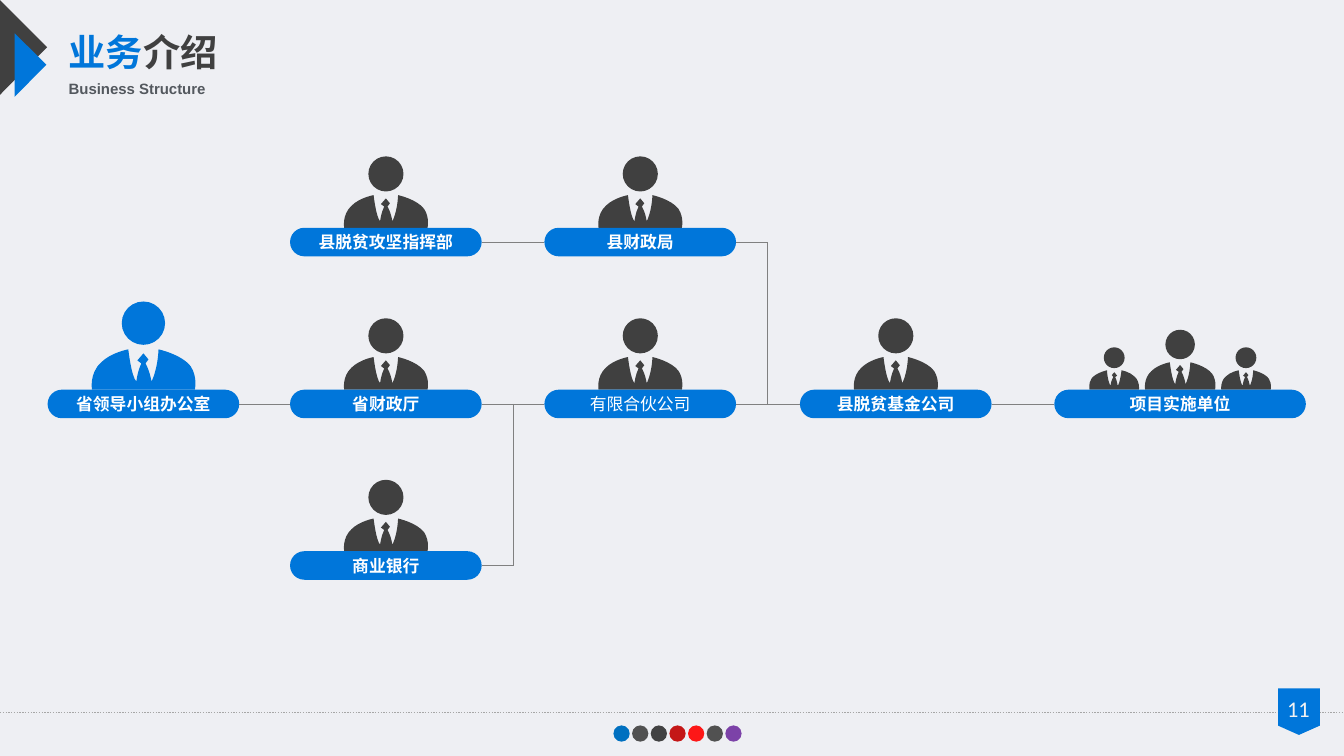
from lxml import etree
from pptx import Presentation
from pptx import util as u
from pptx.dml.color import RGBColor
from pptx.enum import dml, shapes, text
from pptx.oxml import ns

BLUE = RGBColor(0x00, 0x76, 0xDA)
DARK = RGBColor(0x40, 0x40, 0x40)
SLATE = RGBColor(0x53, 0x58, 0x5E)
PAPER = RGBColor(0xEE, 0xEF, 0xF3)
WHITE = RGBColor(0xFF, 0xFF, 0xFF)
PALE = RGBColor(0xF2, 0xF2, 0xF2)
GREY = RGBColor(0x80, 0x80, 0x80)
RULE = RGBColor(0xA6, 0xA6, 0xA6)
SEA = RGBColor(0x00, 0x70, 0xC0)
COAL = RGBColor(0x30, 0x30, 0x30)
WINE = RGBColor(0xC0, 0x00, 0x00)
RED = RGBColor(0xFF, 0x00, 0x00)
PLUM = RGBColor(0x70, 0x30, 0xA0)

KIND = shapes.MSO_SHAPE
HAN = "Noto Sans CJK SC"
PILL_W, PILL_H = 4.83, 0.72
UNIT = 0.0254  # cm per figure unit
HEAD, TALL = 43, 87.5

# Jacket outline around its bottom centre, each row one Bezier curve
START = (47, -23)
JACKET = [
    [(38, -35), (15, -40), (15, -40)],
    [(14, -19), (8, -8), (8, -8)],
    [(6, -20), (2, -26), (2, -26)],
    [(5, -30)] * 3,
    [(0, -36)] * 3,
    [(-6, -29)] * 3,
    [(-2, -26)] * 3,
    [(-6, -18), (-7, -8), (-7, -8)],
    [(-12, -13), (-15, -40), (-15, -40)],
    [(-15, -40), (-32, -37), (-42, -27)],
    [(-54, -16), (-51, 0), (-51, 0)],
    [(51, 0)] * 3,
    [(51, 0), (54, -12), START],
]
BODY = [START] + sum(JACKET, [])


class Deck:
    def __init__(self):
        self.prs = Presentation()
        self.prs.slide_width, self.prs.slide_height = u.Cm(33.87), u.Cm(19.05)
        self.slide = self.prs.slides.add_slide(self.prs.slide_layouts[6])
        back = self.slide.background.fill
        back.solid()
        back.fore_color.rgb = PAPER
        self.all = self.slide.shapes

    def paint(self, shape, color, alpha=None):
        shape.shadow.inherit = False
        shape.fill.solid()
        shape.fill.fore_color.rgb = color
        shape.line.fill.background()
        if alpha:
            tone = shape.fill._xPr.find(".//" + ns.qn("a:srgbClr"))
            etree.SubElement(tone, ns.qn("a:alpha"), val=str(alpha * 1000))
        return shape

    def shape(self, kind, x, y, w, h, color, home=None, alpha=None):
        made = (home or self.all).add_shape(kind, u.Cm(x), u.Cm(y), u.Cm(w), u.Cm(h))
        return self.paint(made, color, alpha)

    def free(self, points, color, home=None):
        spots = [(u.Cm(x), u.Cm(y)) for x, y in points]
        pen = (home or self.all).build_freeform(*spots[0])
        pen.add_line_segments(spots[1:], close=True)
        return self.paint(pen.convert_to_shape(), color)

    def bend(self, shape):
        """Turn every three line segments of a freeform into one curve."""
        lines = list(shape._element.iter(ns.qn("a:lnTo")))
        lines = lines[:len(BODY) - 1]
        for i in range(0, len(lines), 3):
            curve = etree.Element(ns.qn("a:cubicBezTo"))
            lines[i].addprevious(curve)
            for line in lines[i:i + 3]:
                curve.append(line[0])
                line.getparent().remove(line)

    def style(self, run, size, font, color, bold):
        run.font.size, run.font.name, run.font.bold = u.Pt(size), font, bold
        run.font.color.rgb = color
        east = etree.SubElement(run.font._element, ns.qn("a:ea"))
        east.set("typeface", font)

    def inset(self, frame):
        frame.margin_left = frame.margin_right = 0
        frame.margin_top = frame.margin_bottom = 0

    def label(self, x, y, w, h, runs, size, font, bold=True, wrap=True, bare=True):
        """Add a text box; runs are (words, color) pairs."""
        frame = self.all.add_textbox(u.Cm(x), u.Cm(y), u.Cm(w), u.Cm(h)).text_frame
        frame.word_wrap = wrap
        frame.auto_size = text.MSO_AUTO_SIZE.SHAPE_TO_FIT_TEXT
        if bare:
            self.inset(frame)
        para = frame.paragraphs[0]
        for words, color in runs:
            run = para.add_run()
            run.text = words
            self.style(run, size, font, color, bold)
        return para

    def pill(self, x, y, words, w=PILL_W, bold=True):
        pill = self.shape(KIND.ROUNDED_RECTANGLE, x, y, w, PILL_H, BLUE)
        pill.adjustments[0] = 0.5
        frame = pill.text_frame
        self.inset(frame)
        frame.vertical_anchor = text.MSO_ANCHOR.MIDDLE
        frame.text = words
        para = frame.paragraphs[0]
        para.alignment = text.PP_ALIGN.CENTER
        self.style(para.runs[0], 12, HAN, WHITE, bold)
        return pill

    def crowd(self, base, people, color=DARK):
        """Group figures standing on base; people are (centre, scale, side)."""
        home = self.all.add_group_shape().shapes
        for mid, scale, side in people:
            k = UNIT * scale
            self.shape(KIND.OVAL, mid - HEAD * k / 2, base - TALL * k,
                       HEAD * k, HEAD * k, color, home)
            self.bend(self.free([(mid + side * px * k, base + py * k)
                                 for px, py in BODY], color, home))

    def line(self, x1, y1, x2, y2, color=GREY, width=0.5):
        wire = self.all.add_connector(shapes.MSO_CONNECTOR.STRAIGHT,
                                      u.Cm(x1), u.Cm(y1), u.Cm(x2), u.Cm(y2))
        wire.line.color.rgb, wire.line.width = color, u.Pt(width)
        etree.SubElement(wire._element.spPr, ns.qn("a:effectLst"))
        return wire

    def join(self, left, right):
        wire = self.line(0, 0, 1, 1)
        wire.begin_connect(left, 3)
        wire.end_connect(right, 1)

    def branch(self, pill, x, y, goal):
        """Lead from a pill's right side to x, then up or down to goal."""
        self.line(x - 1, y, x, y).begin_connect(pill, 3)
        self.line(x, min(y, goal), x, max(y, goal))


def main():
    deck = Deck()
    deck.free([(0, 0), (1.19, 1.19), (0, 2.39)], DARK)
    deck.free([(0.37, 0.84), (1.17, 1.63), (0.37, 2.44)], BLUE)
    deck.label(1.73, 0.74, 3.76, 1.14, [("业务", BLUE), ("介绍", DARK)],
               26.6, "Arial Narrow", wrap=False)
    deck.label(1.73, 2.01, 6.68, 0.46, [("Business Structure", SLATE)], 10.7, "Arial")

    cols = [1.2, 7.31, 13.72, 20.16, 26.57]
    top, mid, low = 5.74, 9.82, 13.89
    half = PILL_H / 2
    staff = [(0, mid, "省领导小组办公室"), (1, mid, "省财政厅"),
             (2, mid, "有限合伙公司"), (3, mid, "县脱贫基金公司"),
             (1, top, "县脱贫攻坚指挥部"), (2, top, "县财政局"),
             (1, low, "商业银行")]
    pills = []
    for col, y, words in staff:
        lead = col == 0
        deck.crowd(y, [(cols[col] + PILL_W / 2, 1 if lead else 0.81, 1)],
                   BLUE if lead else DARK)
        pills.append(deck.pill(cols[col], y, words, bold=words != "有限合伙公司"))
    office, treasury, partner, fund, command, finance, bank = pills

    wide = 6.34
    hub = cols[4] + wide / 2
    deck.crowd(mid, [(hub, 0.68, 1), (hub + 1.66, 0.48, 1), (hub - 1.66, 0.48, -1)])
    unit = deck.pill(cols[4], mid, "项目实施单位", wide)

    for left, right in [(office, treasury), (treasury, partner), (partner, fund),
                        (fund, unit), (command, finance)]:
        deck.join(left, right)
    deck.branch(bank, 12.93, low + half, mid + half)
    deck.branch(finance, 19.35, top + half, mid + half)

    rule = deck.line(0, 17.95, 33.87, 17.95, RULE, 1)
    rule.line.dash_style = dml.MSO_LINE.ROUND_DOT
    deck.shape(KIND.FLOWCHART_OFFPAGE_CONNECTOR, 32.21, 17.35, 1.05, 1.17, BLUE)
    page = deck.label(31.97, 17.48, 1.5, 0.86, [("11", PALE)], 16, "Calibri",
                      bold=False, bare=False)
    page.alignment = text.PP_ALIGN.CENTER
    page.line_spacing, page.space_before = 0.9, u.Pt(10)

    dots = deck.all.add_group_shape().shapes
    for i, color in enumerate([SEA, DARK, COAL, WINE, RED, DARK, PLUM]):
        deck.shape(KIND.OVAL, 15.46 + 0.47 * i, 18.28, 0.41, 0.41, color, dots,
                   90 if i else None)
    deck.prs.save("out.pptx")


if __name__ == "__main__":
    main()
